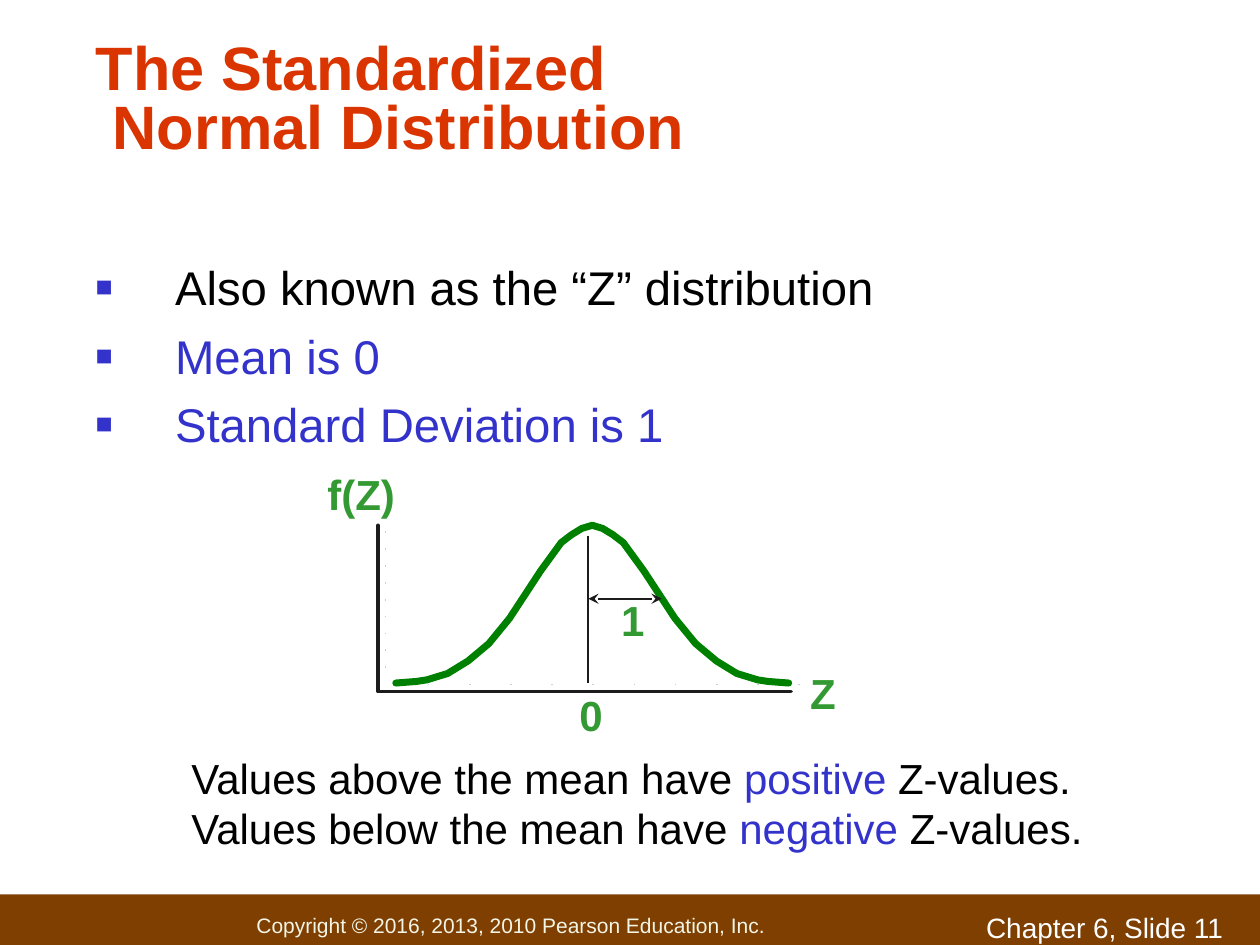
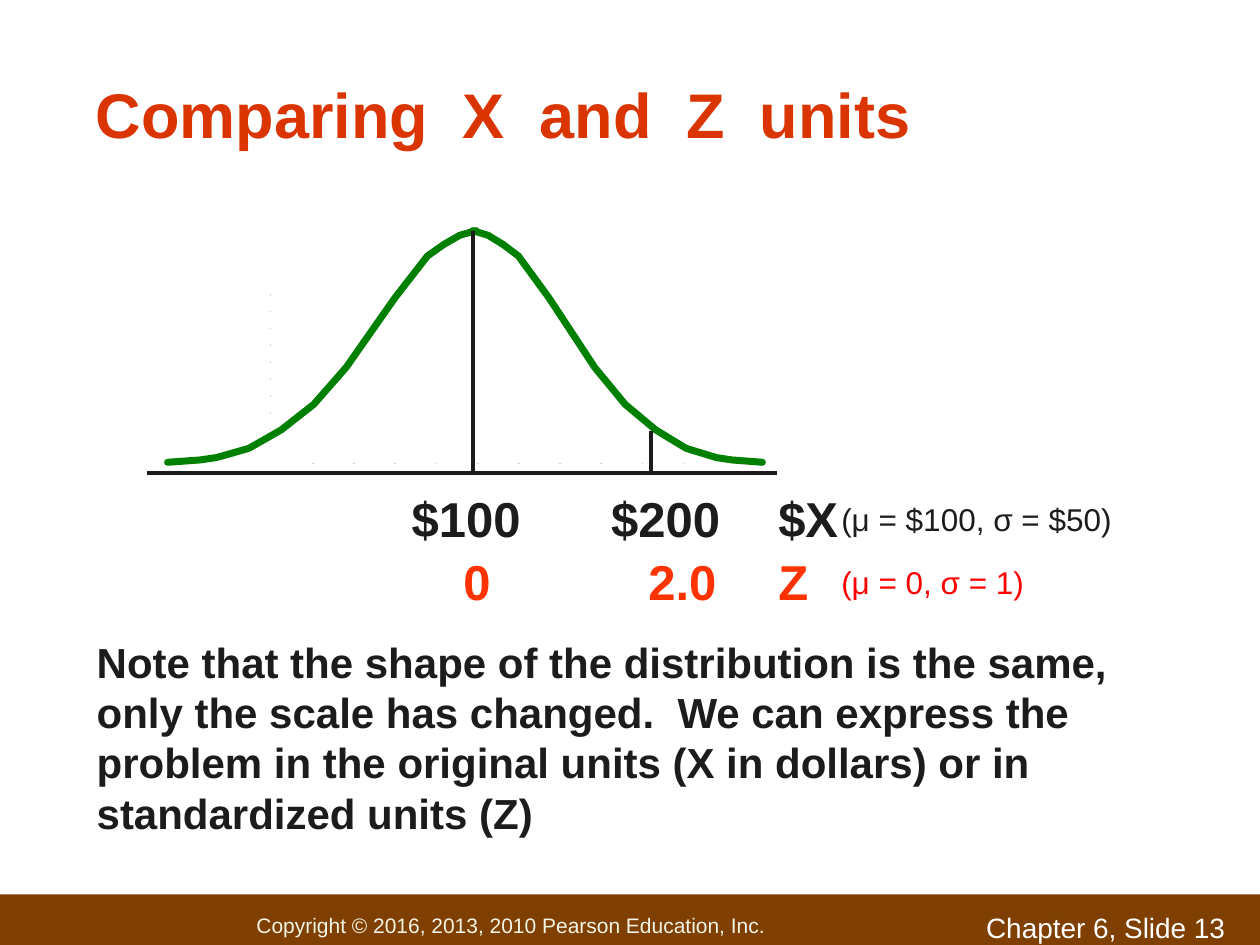
from lxml import etree
from pptx import Presentation
from pptx.dml.color import RGBColor
from pptx.enum.shapes import MSO_CONNECTOR, MSO_SHAPE
from pptx.enum.text import MSO_ANCHOR, MSO_AUTO_SIZE, PP_ALIGN
from pptx.oxml.ns import qn
from pptx.util import Cm, Pt

STRAIGHT = MSO_CONNECTOR.STRAIGHT
RECTANGLE = MSO_SHAPE.RECTANGLE
MIDDLE, BOTTOM = MSO_ANCHOR.MIDDLE, MSO_ANCHOR.BOTTOM
LEFT = PP_ALIGN.LEFT
NO_AUTOSIZE = MSO_AUTO_SIZE.NONE
TITLE_ONLY = 5

COLORS = {
    "title": "DA3400",
    "band": "7E3F00",
    "copyright": "F3F5E7",
    "white": "FFFFFF",
    "black": "000000",
    "ink": "1C1C1C",
    "blue": "3333CC",
    "label": "339933",
    "curve": "008000",
    "tick": "CDCDCD",
    "z_scale": "FF3300",
    "z_note": "FF0000",
}
FONT = "Arial"
COPYRIGHT = "Copyright © 2016, 2013, 2010 Pearson Education, Inc."

# Half a bell from tail to peak: steps out of 19 across, share of the height
BELL_STEPS = (0, 2, 3, 4, 5, 6, 7, 9, 11, 13, 14, 15, 16, 17, 18, 19)
BELL_HEIGHTS = (0, 0.01, 0.02, 0.04, 0.06, 0.1, 0.14, 0.25,
                0.41, 0.61, 0.71, 0.8, 0.89, 0.94, 0.98, 1)


def rgb(color):
    return RGBColor.from_string(COLORS[color])


def add_run(paragraph, text, color, size, bold=False):
    run = paragraph.add_run()
    run.text = text
    style = {"name": FONT, "size": Pt(size), "bold": bold}
    for attribute, value in style.items():
        setattr(run.font, attribute, value)
    run.font.color.rgb = rgb(color)


def add_text(slide, box, pieces, size, bold=False):
    """Add a one-paragraph text box; pieces are (text, color) pairs."""
    frame = slide.shapes.add_textbox(*map(Cm, box)).text_frame
    frame.word_wrap = True
    for text, color in pieces:
        add_run(frame.paragraphs[0], text, color, size, bold)


def add_bullets(slide, box, items, size):
    frame = slide.shapes.add_textbox(*map(Cm, box)).text_frame
    frame.word_wrap = True
    frame.margin_left = frame.margin_right = Cm(0.23)
    for index, (text, color) in enumerate(items):
        paragraph = frame.add_paragraph() if index else frame.paragraphs[0]
        properties = paragraph._p.get_or_add_pPr()
        properties.set("marL", str(Cm(1.6)))
        properties.set("indent", str(-Cm(1.6)))
        bullet_color = etree.SubElement(properties, qn("a:buClr"))
        etree.SubElement(bullet_color, qn("a:srgbClr"), val=COLORS["blue"])
        etree.SubElement(properties, qn("a:buSzPct"), val="60000")
        etree.SubElement(properties, qn("a:buFont"), typeface=FONT)
        etree.SubElement(properties, qn("a:buChar"), char="■")
        if index:
            paragraph.space_before = Pt(6.8)
        add_run(paragraph, text, color, size)


def add_line(slide, start, end, color="ink", width=1, arrows=False):
    line = slide.shapes.add_connector(STRAIGHT, *map(Cm, (*start, *end)))
    line.line.color.rgb = rgb(color)
    line.line.width = Pt(width)
    if arrows:
        outline = line.line._get_or_add_ln()
        for arrow_end in ("a:headEnd", "a:tailEnd"):
            etree.SubElement(outline, qn(arrow_end), type="stealth")
    etree.SubElement(line._element.spPr, qn("a:effectLst"))


def add_open_path(slide, points, color, width):
    start, *rest = [(Cm(x), Cm(y)) for x, y in points]
    builder = slide.shapes.build_freeform(*start)
    builder.add_line_segments(rest, close=False)
    outline = builder.convert_to_shape()
    outline.shadow.inherit = False
    outline.fill.background()
    outline.line.color.rgb = rgb(color)
    outline.line.width = Pt(width)
    stroke = outline.line._get_or_add_ln()
    stroke.set("cap", "rnd")
    etree.SubElement(stroke, qn("a:round"))


def add_half_bell(slide, tail, peak, top, base):
    points = [(tail + (peak - tail) * step / 19, base - (base - top) * height)
              for step, height in zip(BELL_STEPS, BELL_HEIGHTS)]
    add_open_path(slide, points, "curve", 4)


def add_ticks(slide, left, top):
    """Add the faint tick dots beside and below a curve."""
    for index in range(10):
        y = top + 0.34 * index
        x = left + 0.87 + 0.83 * index
        add_line(slide, (left, y), (left + 0.01, y), "tick")
        add_line(slide, (x, top + 3.4), (x, top + 3.41), "tick")


def add_footer(slide, number):
    band = slide.shapes.add_shape(RECTANGLE, *map(Cm, (0, 18.03, 25.4, 1.24)))
    band.shadow.inherit = False
    band.fill.solid()
    band.fill.fore_color.rgb = rgb("band")
    band.line.fill.background()
    frame = band.text_frame
    layout = {"margin_left": Cm(5.17), "margin_right": 0, "margin_top": 0,
              "margin_bottom": 0, "vertical_anchor": MIDDLE, "word_wrap": True}
    for attribute, value in layout.items():
        setattr(frame, attribute, value)
    frame.paragraphs[0].alignment = LEFT
    add_run(frame.paragraphs[0], COPYRIGHT, "copyright", 12)
    add_text(slide, (19.63, 18.24, 5.92, 0.66),
             [(f"Chapter 6, Slide {number}", "white")], 16)


def add_titled_slide(deck, number, lines, box, size, spacing=1.0):
    slide = deck.slides.add_slide(deck.slide_layouts[TITLE_ONLY])
    add_footer(slide, number)
    title = slide.shapes.title
    title.left, title.top, title.width, title.height = map(Cm, box)
    frame = title.text_frame
    layout = {"margin_left": Cm(0.23), "margin_right": Cm(0.23),
              "vertical_anchor": BOTTOM, "word_wrap": True,
              "auto_size": NO_AUTOSIZE}
    for attribute, value in layout.items():
        setattr(frame, attribute, value)
    paragraph = frame.paragraphs[0]
    paragraph.alignment = LEFT
    paragraph.line_spacing = spacing
    for index, line in enumerate(lines):
        if index:
            paragraph.add_line_break()
        add_run(paragraph, line, "title", size, bold=True)
    return slide


def build_standardized_normal(deck):
    slide = add_titled_slide(
        deck, 11, ["The Standardized", " Normal Distribution"],
        (1.7, 1.27, 22.86, 2.11), 35, spacing=0.8)
    add_bullets(slide, (1.7, 5.08, 19.89, 5.13), [
        ("Also known as the “Z” distribution", "black"),
        ("Mean is 0", "blue"),
        ("Standard Deviation is 1", "blue"),
    ], 27)

    mean_x, top, base, axis_y = 11.86, 10.59, 13.77, 13.94
    for tail in (15.9, 7.98):
        add_half_bell(slide, tail, 11.94, top, base)
    add_line(slide, (mean_x, 10.8), (mean_x, base))
    add_open_path(slide, [(7.62, top), (7.62, axis_y), (15.95, axis_y)],
                  "ink", 2)
    add_ticks(slide, 7.77, 10.39)
    add_line(slide, (mean_x, 12.07), (13.34, 12.07), arrows=True)

    for text, left, label_top, width in (
            ("Z", 16.08, 13.34, 1.2),
            ("f(Z)", 6.35, 9.32, 2),
            ("0", 11.43, 13.77, 1.32),
            ("1", 12.27, 11.86, 1.32)):
        add_text(slide, (left, label_top, width, 1.27), [(text, "label")],
                 24, bold=True)

    add_text(slide, (3.61, 15.04, 18.62, 2.29), [
        ("Values above the mean have ", "black"),
        ("positive", "blue"),
        (" Z-values. Values below the mean have ", "black"),
        ("negative", "blue"),
        (" Z-values.", "black"),
    ], 24)


def build_x_and_z_units(deck):
    slide = add_titled_slide(deck, 13, ["Comparing  X  and  Z  units"],
                             (1.7, 0.84, 20.22, 2.34), 36)
    add_text(slide, (1.7, 12.7, 21.39, 4.32), [(
        "Note that the shape of the distribution is the same, only the scale "
        "has changed.  We can express the problem in the original units "
        "(X in dollars) or in standardized units (Z)", "ink")], 24, bold=True)

    mean_x, value_x, top, base, axis_y = 9.53, 13.13, 4.65, 9.32, 9.53
    add_half_bell(slide, 3.38, 9.6, top, base)
    add_ticks(slide, 5.44, 5.94)
    add_half_bell(slide, 15.37, mean_x, top, base)
    add_line(slide, (2.97, axis_y), (15.67, axis_y), width=2.25)
    add_line(slide, (mean_x, top), (mean_x, axis_y), width=2)
    add_line(slide, (value_x, 8.69), (value_x, axis_y), width=2.25)

    scales = (
        (9.73, "ink", (("$100", 8.05, 3.18), ("$200", 12.07, 2.74),
                       ("$X", 15.44, 2)),
         "(μ = $100, σ = $50)", 6.55, "ink"),
        (11, "z_scale", (("0", 9.09, 1.32), ("2.0", 12.82, 2.2),
                         ("Z", 15.44, 1.2)),
         "(μ = 0, σ = 1)", 4.88, "z_note"),
    )
    for row_top, color, values, parameters, note_width, note_color in scales:
        for text, left, width in values:
            add_text(slide, (left, row_top, width, 1.42), [(text, color)],
                     28, bold=True)
        add_text(slide, (16.71, row_top + 0.23, note_width, 1.02),
                 [(parameters, note_color)], 18)


def main():
    deck = Presentation()
    deck.slide_width, deck.slide_height = Cm(25.4), Cm(19.05)
    build_standardized_normal(deck)
    build_x_and_z_units(deck)
    deck.save("out.pptx")


if __name__ == "__main__":
    main()
